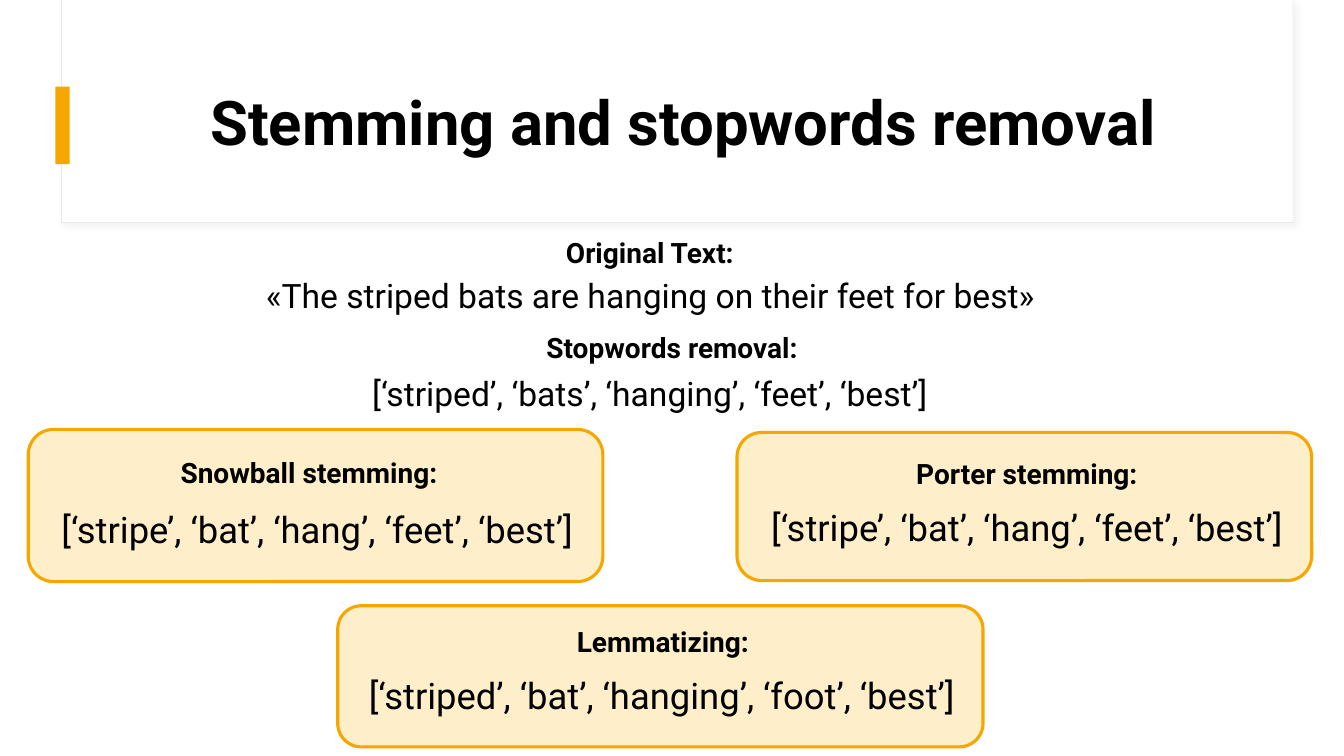
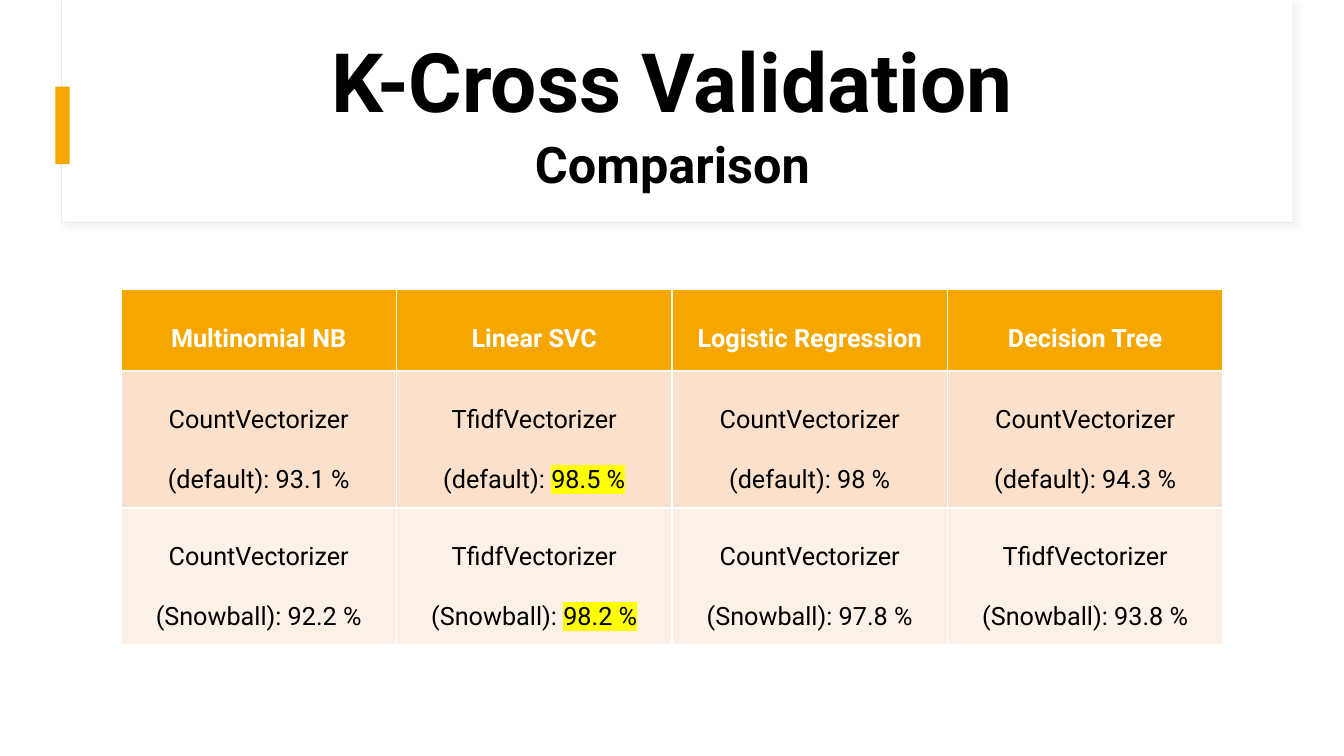
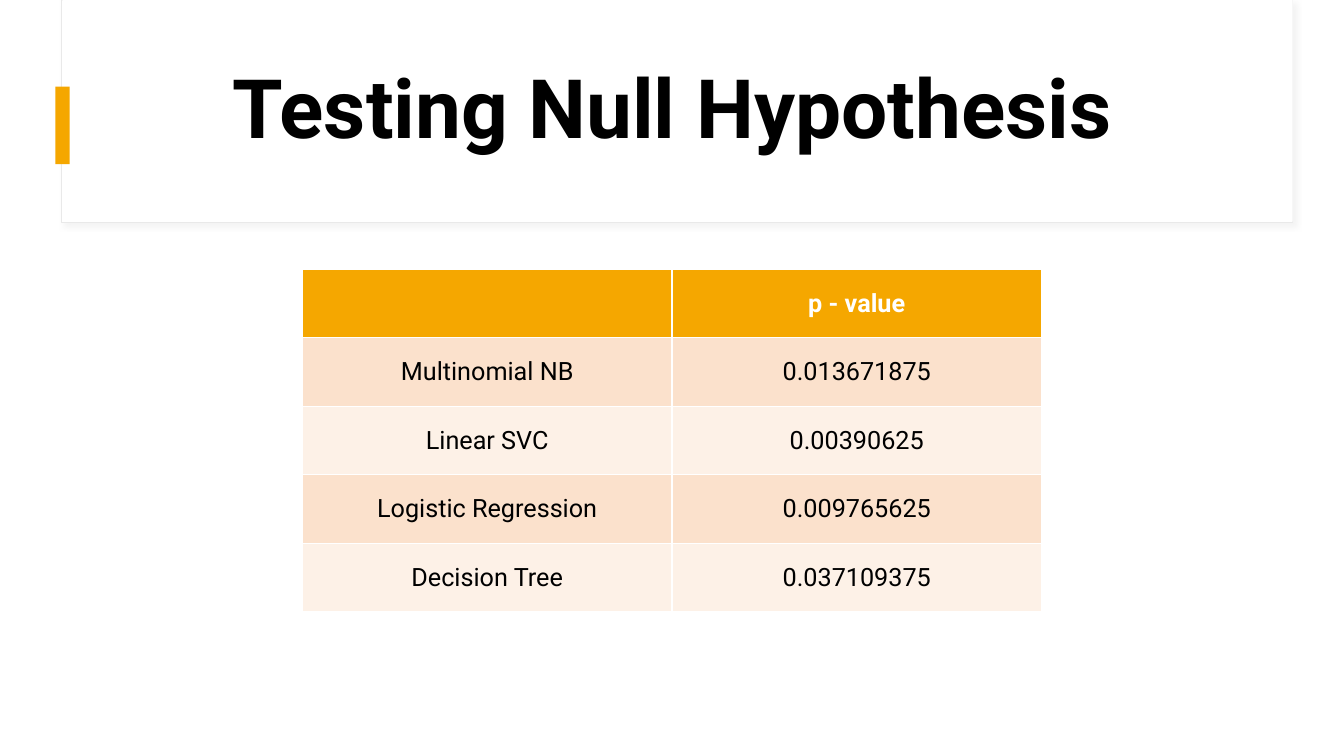
"""Builds three slides on text preprocessing and classifier comparison."""
from dataclasses import dataclass

from lxml.etree import SubElement
from pptx import Presentation
from pptx.dml.color import RGBColor
from pptx.enum.shapes import MSO_SHAPE
from pptx.enum.text import MSO_ANCHOR, PP_ALIGN
from pptx.oxml.ns import qn
from pptx.util import Inches, Pt


@dataclass(frozen=True)
class Theme:
    """Colours, font and type sizes shared by all slides."""
    font: str = "Roboto"
    accent: str = "F5A700"
    card: str = "FFEECA"
    bands: tuple = ("FBE1CC", "FDF1E7")
    text: str = "000000"
    white: str = "FFFFFF"
    frame: str = "E9E9E9"
    shadow: str = "D9D9D9"
    highlight: str = "FFFF00"
    title: float = 44
    big_title: float = 58.5
    subtitle: float = 36
    sentence: float = 24
    tokens: float = 26
    label: float = 20
    table: float = 18


THEME = Theme()

STEMMING_TITLE = ("Stemming and stopwords removal", 1.22, 0.6, THEME.title)
VALIDATION_TITLES = [
    ("K-Cross Validation", 1.11, 0.21, THEME.big_title),
    ("Comparison", 1.11, 1.01, THEME.subtitle),
]
HYPOTHESIS_TITLE = ("Testing Null Hypothesis", 1.11, 0.47, THEME.big_title)

CARDS = [(7.31, 4.29, 5.7, 1.47), (3.35, 6.01, 6.4, 1.4), (0.28, 4.26, 5.7, 1.51)]
LABELS = [
    ("Original Text:", 4.62, 2.29),
    ("Stopwords removal:", 4.84, 3.23),
    ("Snowball stemming:", 1.24, 4.47),
    ("Porter stemming:", 8.36, 4.48),
    ("Lemmatizing:", 4.75, 6.15),
]
LINES = [
    ("«The striped bats are hanging on their feet for best»", 0.28, 2.68, 12.34, THEME.sentence),
    ("[‘striped’, ‘bats’, ‘hanging’, ‘feet’, ‘best’]", 0.14, 3.65, 12.61, THEME.sentence),
    ("[‘stripe’, ‘bat’, ‘hang’, ‘feet’, ‘best’]", 0.3, 4.98, 5.7, THEME.tokens),
    ("[‘stripe’, ‘bat’, ‘hang’, ‘feet’, ‘best’]", 7.34, 4.96, 5.7, THEME.tokens),
    ("[‘striped’, ‘bat’, ‘hanging’, ‘foot’, ‘best’]", 3.37, 6.63, 6.4, THEME.tokens),
]

SCORES = [
    ["Multinomial NB", "Linear SVC", "Logistic Regression", "Decision Tree"],
    ["CountVectorizer (default): 93.1 %", "TfidfVectorizer (default): 98.5 %",
     "CountVectorizer (default): 98 %", "CountVectorizer (default): 94.3 %"],
    ["CountVectorizer (Snowball): 92.2 %", "TfidfVectorizer (Snowball): 98.2 %",
     "CountVectorizer (Snowball): 97.8 %", "TfidfVectorizer (Snowball): 93.8 %"],
]
BEST_SCORES = ("98.5 %", "98.2 %")
P_VALUES = [
    ["", "p - value"],
    ["Multinomial NB", "0.013671875"],
    ["Linear SVC", "0.00390625"],
    ["Logistic Regression", "0.009765625"],
    ["Decision Tree", "0.037109375"],
]


def rgb(color):
    return RGBColor.from_string(color)


def style_paragraph(paragraph, size, bold=False, color=THEME.text, spacing=None):
    paragraph.alignment = PP_ALIGN.CENTER
    paragraph.line_spacing = spacing
    font = paragraph.font
    font.name, font.size, font.bold = THEME.font, Pt(size), bold
    font.color.rgb = rgb(color)


def add_box(slide, kind, bounds, fill, line=None, line_width=0.75):
    shape = slide.shapes.add_shape(kind, *map(Inches, bounds))
    shape.shadow.inherit = False
    shape.fill.solid()
    shape.fill.fore_color.rgb = rgb(fill)
    if line:
        shape.line.color.rgb = rgb(line)
        shape.line.width = Pt(line_width)
    else:
        shape.line.fill.background()
    return shape


def add_soft_shadow(shape):
    effects = shape._element.spPr.find(qn("a:effectLst"))
    shadow = SubElement(effects, qn("a:outerShdw"), blurRad=str(Pt(4)), dist=str(Pt(3)),
                        dir="2700000", algn="tl", rotWithShape="0")
    color = SubElement(shadow, qn("a:srgbClr"), val=THEME.shadow)
    SubElement(color, qn("a:alpha"), val="30000")


def add_text(slide, text, bounds, size, bold=False, spacing=None, anchor=MSO_ANCHOR.TOP):
    frame = slide.shapes.add_textbox(*map(Inches, bounds)).text_frame
    frame.word_wrap = True
    frame.vertical_anchor = anchor
    paragraph = frame.paragraphs[0]
    paragraph.text = text
    style_paragraph(paragraph, size, bold, spacing=spacing)


def add_slide(presentation, titles):
    slide = presentation.slides.add_slide(presentation.slide_layouts[6])
    header = add_box(slide, MSO_SHAPE.RECTANGLE, (0.61, 0, 12.21, 2.21), THEME.white, THEME.frame)
    add_soft_shadow(header)
    add_box(slide, MSO_SHAPE.RECTANGLE, (0.62, 0, 12.2, 2.2), THEME.white)
    add_box(slide, MSO_SHAPE.RECTANGLE, (0.55, 0.86, 0.14, 0.77), THEME.accent)
    for text, left, top, size in titles:
        add_text(slide, text, (left, top, 11.12, 1.29), size, True, 0.9, MSO_ANCHOR.MIDDLE)
    return slide


def fill_cell(cell, text, is_header, fill, spacing):
    cell.fill.solid()
    cell.fill.fore_color.rgb = rgb(fill)
    paragraph = cell.text_frame.paragraphs[0]
    style_paragraph(paragraph, THEME.table, is_header,
                    THEME.white if is_header else THEME.text, spacing)
    best = next((score for score in BEST_SCORES if text.endswith(score)), "")
    for part in filter(None, (text.removesuffix(best), best)):
        run = paragraph.add_run()
        run.text = part
        if part == best:
            highlight = SubElement(run._r.get_or_add_rPr(), qn("a:highlight"))
            SubElement(highlight, qn("a:srgbClr"), val=THEME.highlight)


def add_table(slide, rows, left, top, width, heights, spacing):
    columns = len(rows[0])
    table = slide.shapes.add_table(len(rows), columns, Inches(left), Inches(top),
                                   Inches(width), Inches(sum(heights))).table
    for column in table.columns:
        column.width = Inches(width / columns)
    for index, (texts, height) in enumerate(zip(rows, heights)):
        table.rows[index].height = Inches(height)
        fill = THEME.bands[(index - 1) % 2] if index else THEME.accent
        for cell, text in zip(table.rows[index].cells, texts):
            fill_cell(cell, text, index == 0, fill, spacing)


def main():
    presentation = Presentation()
    presentation.slide_width, presentation.slide_height = Inches(13.33), Inches(7.5)

    stemming = add_slide(presentation, [STEMMING_TITLE])
    for bounds in CARDS:
        add_box(stemming, MSO_SHAPE.ROUNDED_RECTANGLE, bounds, THEME.card, THEME.accent, 2.25)
    for text, left, top in LABELS:
        add_text(stemming, text, (left, top, 3.65, 0.44), THEME.label, bold=True)
    for text, left, top, width, size in LINES:
        add_text(stemming, text, (left, top, width, 0.5), size)

    validation = add_slide(presentation, VALIDATION_TITLES)
    add_table(validation, SCORES, 1.2, 2.87, 10.93, [0.81, 1.36, 1.36], 2.0)

    hypothesis = add_slide(presentation, [HYPOTHESIS_TITLE])
    add_table(hypothesis, P_VALUES, 3, 2.67, 7.33, [0.68] * len(P_VALUES), 1.5)

    presentation.save("out.pptx")


if __name__ == "__main__":
    main()
